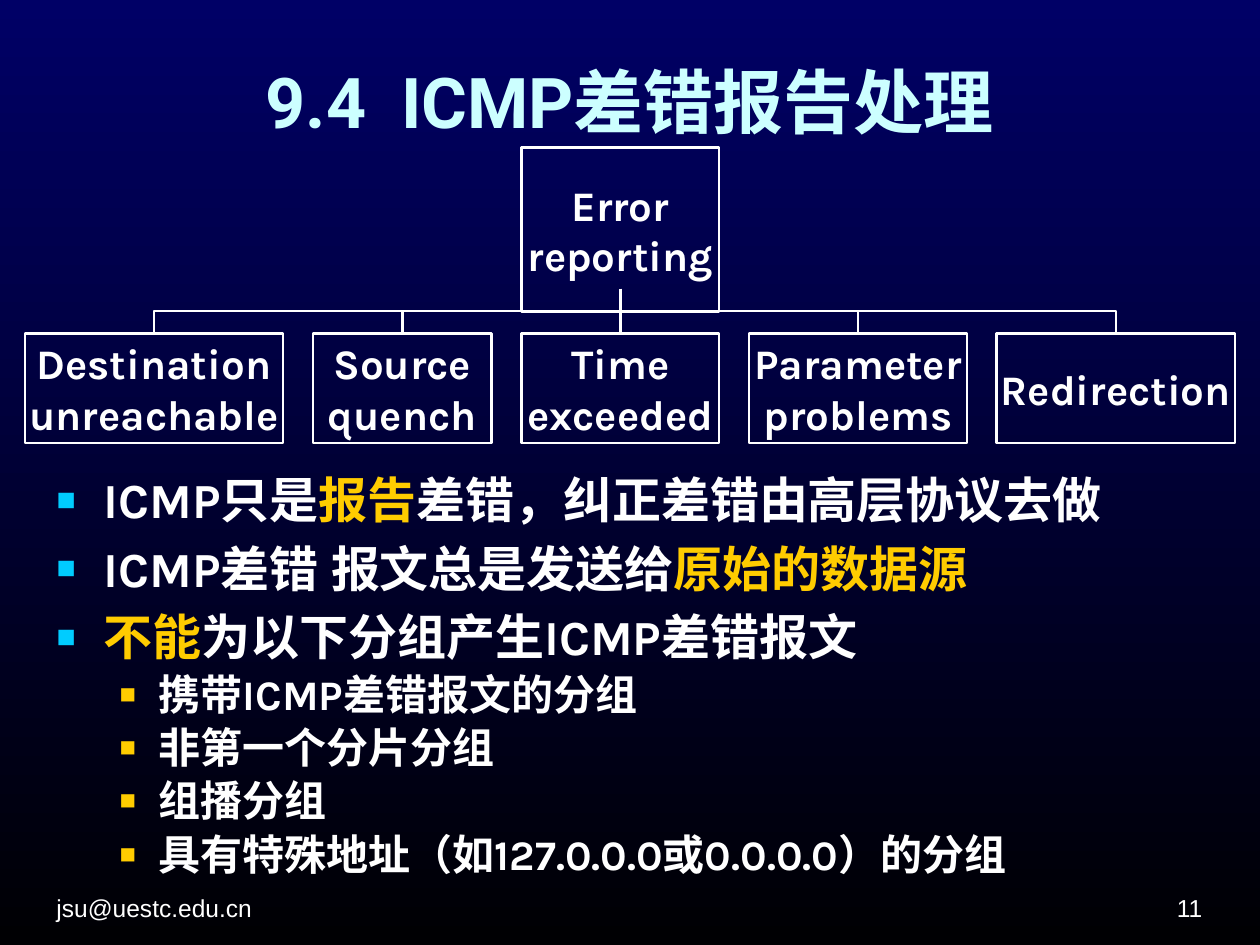
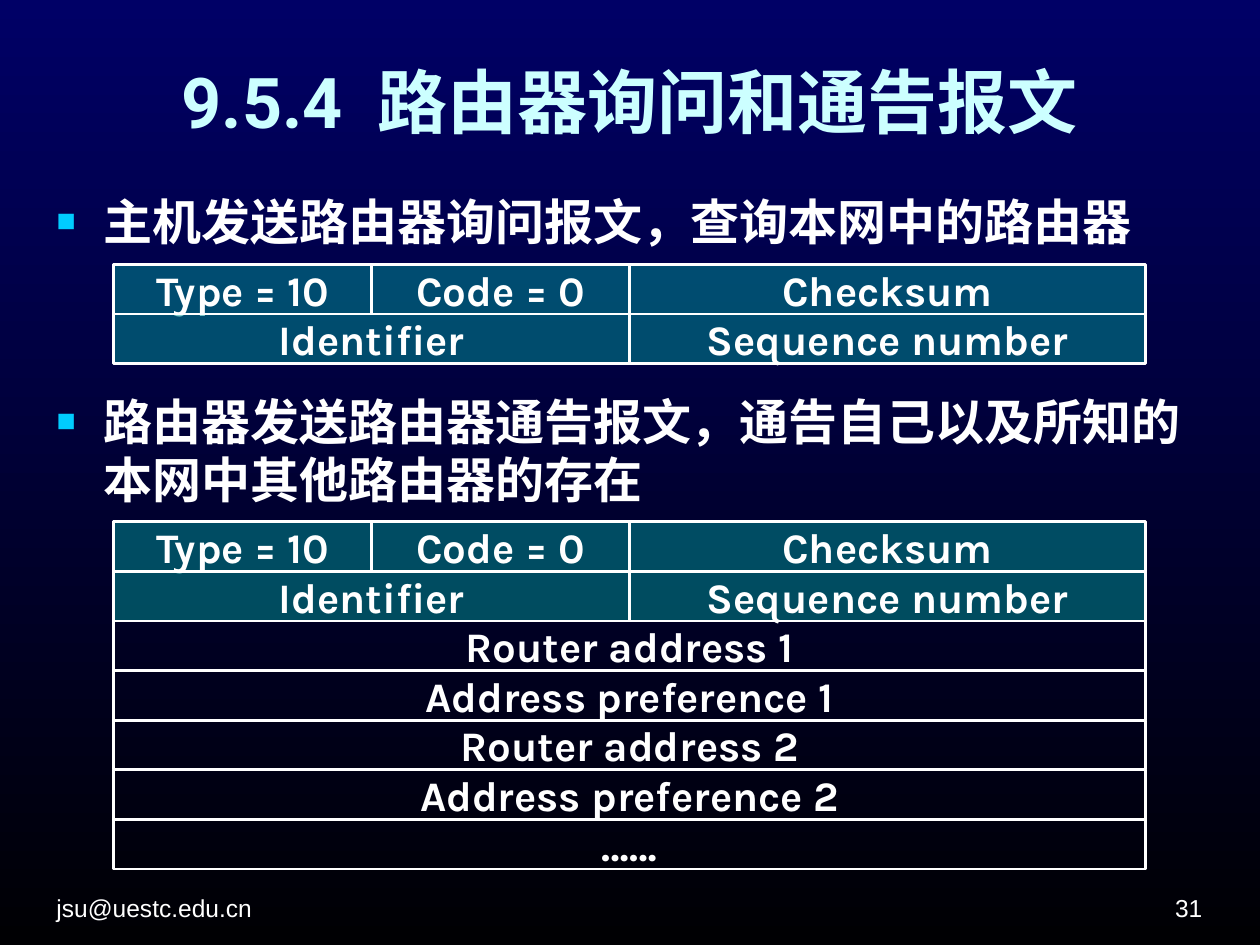
from dataclasses import dataclass
from pptx import Presentation
from pptx.dml.color import RGBColor as Rgb
from pptx.enum.shapes import MSO_CONNECTOR as Link, MSO_SHAPE as Kind
from pptx.enum.text import MSO_ANCHOR as Anchor, MSO_AUTO_SIZE as Auto, PP_ALIGN as Align
from pptx.oxml.ns import qn
from pptx.util import Pt
from lxml.etree import SubElement as Sub


@dataclass(frozen=True)
class Theme:
    top: str = "000066"
    base: str = "000003"
    head: str = "CCFFFF"
    text: str = "FFFFFF"
    mark: str = "FFCC00"
    dot: str = "00CCFF"
    cell: str = "009999"
    title: tuple = ("Roboto", 40, True)
    body: tuple = ("Karla", 28, True)
    small: tuple = ("Karla", 24, True)
    foot: tuple = ("Arial", 14, False)
    line: float = 1.5
    left: float = 25.2
    width: float = 669


class Deck:
    def __init__(self, look):
        self.look = look
        self.show = Presentation()
        self.show.slide_width, self.show.slide_height = Pt(720), Pt(540)
        fill = self.show.slide_master.background.fill
        fill.gradient()
        fill.gradient_angle = 270
        for stop, tone in zip(fill.gradient_stops, (look.top, look.base)):
            stop.color.rgb = Rgb.from_string(tone)

    def run(self, para, words, style, tone):
        run = para.add_run()
        run.text = words
        font = run.font
        font.name, size, font.bold = style
        font.size = Pt(size)
        font.color.rgb = Rgb.from_string(tone)
        Sub(run._r.rPr, qn("a:ea"), typeface=font.name)
        return run

    def frame(self, shape, anchor, side=7.2, wrap=True):
        frame = shape.text_frame
        frame.auto_size = Auto.NONE
        frame.word_wrap = wrap
        frame.vertical_anchor = anchor
        frame.margin_left = frame.margin_right = Pt(side)
        frame.margin_top = frame.margin_bottom = Pt(3.6)
        return frame

    def page(self, code, name, number):
        look = self.look
        self.slide = self.show.slides.add_slide(self.show.slide_layouts[5])
        title = self.slide.shapes.title
        title.left, title.top = Pt(look.left), Pt(9.4)
        title.width, title.height = Pt(look.width), Pt(96.5)
        para = self.frame(title, Anchor.MIDDLE).paragraphs[0]
        para.alignment = Align.CENTER
        self.run(para, code, look.title, look.head)
        gap = self.run(para, " ", look.title, look.head)
        gap._r.rPr.set("spc", "1000")
        self.run(para, name, look.title, look.head)
        self.foot(look.left, "jsu@uestc.edu.cn", Align.LEFT)
        self.foot(526.4, number, Align.RIGHT)

    def area(self, left, top, width, height, anchor):
        box = self.slide.shapes.add_textbox(Pt(left), Pt(top), Pt(width), Pt(height))
        return self.frame(box, anchor)

    def foot(self, left, words, align):
        para = self.area(left, 496.8, 167.8, 33.8, Anchor.BOTTOM).paragraphs[0]
        para.alignment = align
        self.run(para, words, self.look.foot, self.look.text)

    def bullet(self, para, left, hang, tone):
        prop = para._p.get_or_add_pPr()
        prop.set("marL", str(Pt(left)))
        prop.set("indent", str(-Pt(hang)))
        Sub(Sub(prop, qn("a:buClr")), qn("a:srgbClr"), val=tone)
        Sub(prop, qn("a:buSzPct"), val="65000")
        Sub(prop, qn("a:buFont"), typeface="Arial")
        Sub(prop, qn("a:buChar"), char="■")

    def bullets(self, top, height, items, ratio=1.0, lead=10.5):
        look = self.look
        levels = (
            (27, 27, look.dot, look.body, lead),
            (58.5, 22.5, look.mark, look.small, 6),
        )
        frame = self.area(look.left, top, look.width, height, Anchor.TOP)
        for spot, (level, *parts) in enumerate(items):
            left, hang, tone, style, space = levels[level]
            para = frame.add_paragraph() if spot else frame.paragraphs[0]
            self.bullet(para, left, hang, tone)
            para.level = level
            para.line_spacing = ratio
            para.space_before = Pt(space if spot else 0)
            for words, ink in parts:
                self.run(para, words, style, ink)

    def box(self, left, top, width, height, words, side=7.2, wrap=False, tint=False):
        look = self.look
        box = self.slide.shapes.add_shape(
            Kind.RECTANGLE, Pt(left), Pt(top), Pt(width), Pt(height))
        box.shadow.inherit = False
        box.line.color.rgb = Rgb.from_string(look.text)
        box.line.width = Pt(look.line)
        if tint:
            box.fill.solid()
            box.fill.fore_color.rgb = Rgb.from_string(look.cell)
            tone = box._element.spPr.find(qn("a:solidFill"))[0]
            Sub(tone, qn("a:alpha"), val="50000")
        else:
            box.fill.background()
        para = self.frame(box, Anchor.MIDDLE, side, wrap).paragraphs[0]
        para.alignment = Align.CENTER
        self.run(para, words, look.small, look.text)

    def branch(self, start, top, end, base):
        drop, span = base - top, abs(end - start)
        left = (start + end - drop) / 2
        high = (top + base - span) / 2
        ends = [left, left + drop]
        if end > start:
            ends.reverse()
        link = self.slide.shapes.add_connector(
            Link.ELBOW, Pt(ends[0]), Pt(high), Pt(ends[1]), Pt(high + span))
        turn = 270 if end > start else 90
        link._element.spPr.find(qn("a:xfrm")).set("rot", str(turn * 60000))
        link.line.color.rgb = Rgb.from_string(self.look.text)
        link.line.width = Pt(self.look.line)
        Sub(link._element.spPr, qn("a:effectLst"))

    def tree(self, root, leaves):
        left, gap, top, mid = 14.2, 17, 190.6, 354.5
        self.box(298, 84.3, 113, 93.8, root, 0, True)
        for words, width in leaves:
            self.box(left, top, width, 62.6, words, 0, True)
            self.branch(mid, 165, left + width / 2, top)
            left += width + gap

    def packet(self, top, rows):
        unit, height = 147.4, 28.35
        for row in rows:
            left = 65
            width = unit * 4 / sum(span for _, span in row)
            for words, span in row:
                self.box(left, top, width * span, height, words, tint=len(row) > 1)
                left += width * span
            top += height


def main():
    look = Theme()
    deck = Deck(look)
    text, mark = look.text, look.mark

    deck.page("9.4", "ICMP差错报告处理", "11")
    deck.bullets(270, 238.3, [
        (0, ("ICMP只是", text), ("报告", mark), ("差错，纠正差错由高层协议去做", text)),
        (0, ("ICMP差错 报文总是发送给", text), ("原始的数据源", mark)),
        (0, ("不能", mark), ("为以下分组产生ICMP差错报文", text)),
        (1, ("携带ICMP差错报文的分组", text)),
        (1, ("非第一个分片分组", text)),
        (1, ("组播分组", text)),
        (1, ("具有特殊地址（如127.0.0.0或0.0.0.0）的分组", text)),
    ], ratio=0.85)
    deck.tree("Error reporting", [
        ("Destination unreachable", 147.6),
        ("Source quench", 102.2),
        ("Time exceeded", 113),
        ("Parameter problems", 124.6),
        ("Redirection", 136.1),
    ])

    deck.page("9.5.4", "路由器询问和通告报文", "31")
    deck.bullets(105.8, 391, [
        (0, ("主机发送路由器询问报文，查询本网中的路由器", text)),
        (0, ("路由器发送路由器通告报文，通告自己以及所知的本网中其他路由器的存在", text)),
    ], lead=80.5)
    head = [
        [("Type = 10", 1), ("Code = 0", 1), ("Checksum", 2)],
        [("Identifier", 1), ("Sequence number", 1)],
    ]
    routes = [f"{name} {count}" for count in (1, 2)
              for name in ("Router address", "Address preference")]
    deck.packet(151.2, head)
    deck.packet(298.2, head + [[(words, 1)] for words in routes + ["……"]])

    deck.show.save("out.pptx")


if __name__ == "__main__":
    main()
